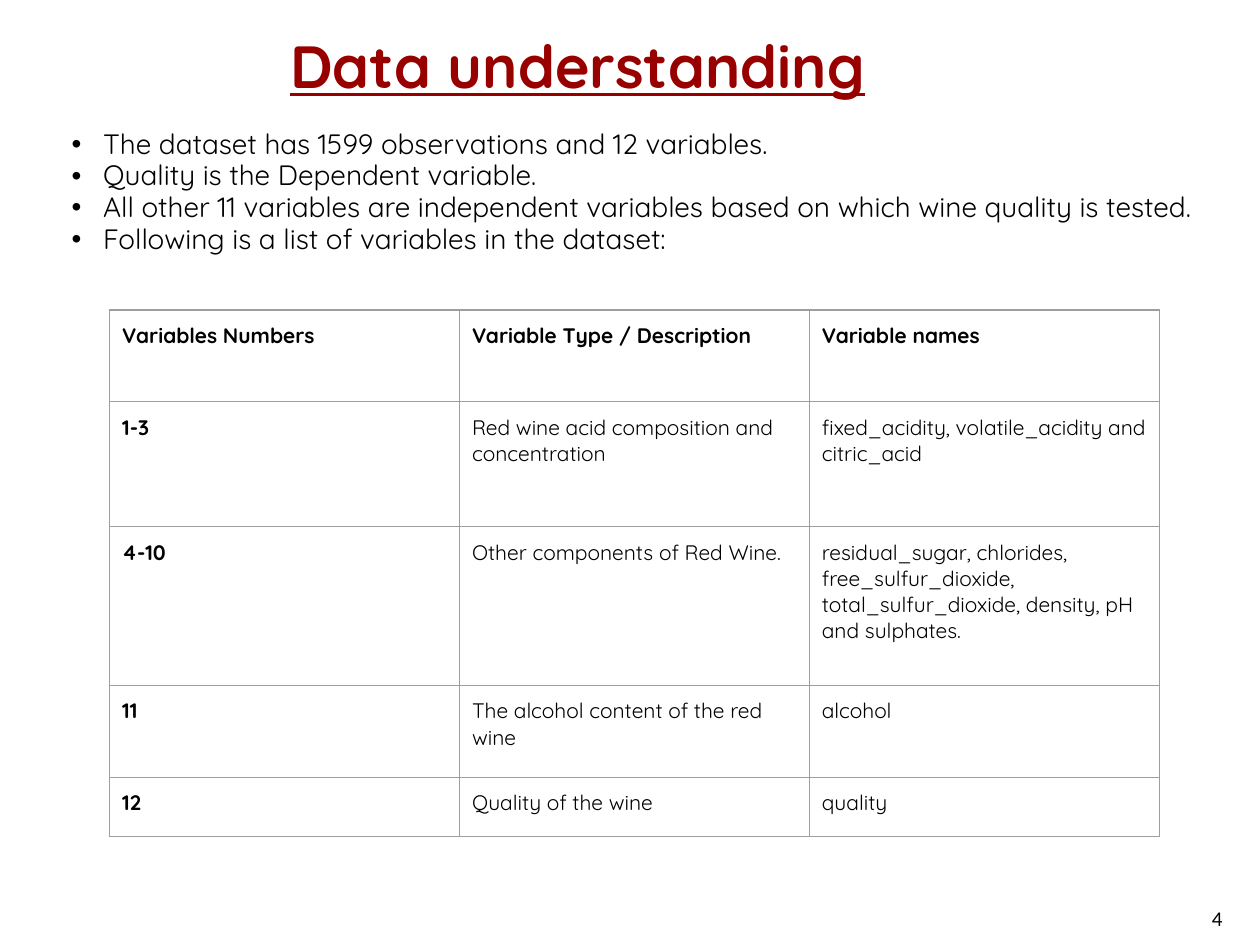
from dataclasses import dataclass

from lxml.etree import SubElement
from pptx import Presentation
from pptx.dml.color import RGBColor
from pptx.enum.text import PP_ALIGN
from pptx.oxml.ns import qn
from pptx.slide import Slide
from pptx.table import _Cell
from pptx.text.text import TextFrame, _Paragraph
from pptx.util import Inches, Pt

BLACK = RGBColor(0x00, 0x00, 0x00)
DARK_RED = RGBColor(0x98, 0x00, 0x00)
GRID_GRAY = RGBColor(0x9E, 0x9E, 0x9E)
FONT = "Quicksand"
NUMBER_FONT = "Calibri"
CELL_INSET = Inches(0.1)


@dataclass(frozen=True)
class Box:
    left: float
    top: float
    width: float
    height: float


@dataclass(frozen=True)
class VariableRow:
    numbers: str
    description: str
    names: str
    height: float


TITLE_BOX = Box(0.25, 0.18, 8.67, 0.94)
FACTS_BOX = Box(0.22, 0.86, 9.51, 5.61)
TABLE_BOX = Box(0.87, 2.46, 8.33, 4.18)
PAGE_NUMBER_BOX = Box(9.52, 7.14, 0.4, 0.24)

FACTS = (
    "The dataset has 1599 observations and 12 variables.",
    "Quality is the Dependent variable.",
    "All other 11 variables are independent variables based on which wine quality is tested.",
    "Following is a list of variables in the dataset:",
)

VARIABLE_ROWS = (
    VariableRow("Variables Numbers", "Variable Type / Description", "Variable names", 0.73),
    VariableRow(
        "1-3",
        "Red wine acid composition and concentration",
        "fixed_acidity, volatile_acidity and citric_acid",
        0.99,
    ),
    VariableRow(
        "4-10",
        "Other components of Red Wine.",
        "residual_sugar, chlorides, free_sulfur_dioxide, "
        "total_sulfur_dioxide, density, pH and sulphates.",
        1.26,
    ),
    VariableRow("11", "The alcohol content of the red wine", "alcohol", 0.73),
    VariableRow("12", "Quality of the wine", "quality", 0.47),
)


def write_text(
    paragraph: _Paragraph,
    text: str,
    *,
    size: float,
    font: str = FONT,
    color: RGBColor = BLACK,
    bold: bool = False,
    underline: bool = False,
    align: PP_ALIGN = PP_ALIGN.LEFT,
) -> None:
    paragraph.alignment = align
    run = paragraph.add_run()
    run.text = text
    run.font.size = Pt(size)
    run.font.name = font
    run.font.color.rgb = color
    run.font.bold = bold
    run.font.underline = underline


def add_text_frame(slide: Slide, box: Box, top_inset: float = 0.05) -> TextFrame:
    frame = slide.shapes.add_textbox(
        Inches(box.left), Inches(box.top), Inches(box.width), Inches(box.height)
    ).text_frame
    frame.word_wrap = True
    frame.margin_top = Inches(top_inset)
    return frame


def add_bullet(paragraph: _Paragraph) -> None:
    properties = paragraph._p.get_or_add_pPr()
    properties.set("marL", str(Inches(0.5)))
    properties.set("indent", str(Inches(-0.25)))
    bullet_color = SubElement(properties, qn("a:buClr"))
    SubElement(bullet_color, qn("a:srgbClr"), val=str(BLACK))
    SubElement(properties, qn("a:buFont"), typeface="Arial")
    SubElement(properties, qn("a:buChar"), char="•")


def add_facts(slide: Slide) -> None:
    frame = add_text_frame(slide, FACTS_BOX, top_inset=0.16)
    for index, fact in enumerate(FACTS):
        paragraph = frame.add_paragraph() if index else frame.paragraphs[0]
        paragraph.line_spacing = 0.95
        add_bullet(paragraph)
        write_text(paragraph, fact, size=16)


def format_cell(cell: _Cell) -> None:
    cell.margin_left = cell.margin_right = CELL_INSET
    cell.margin_top = cell.margin_bottom = CELL_INSET
    properties = cell._tc.get_or_add_tcPr()
    for side in ("L", "R", "T", "B"):
        border = SubElement(properties, qn(f"a:ln{side}"), w=str(Pt(0.75)))
        border_fill = SubElement(border, qn("a:solidFill"))
        SubElement(border_fill, qn("a:srgbClr"), val=str(GRID_GRAY))
    cell.fill.background()


def add_variable_table(slide: Slide) -> None:
    table = slide.shapes.add_table(
        len(VARIABLE_ROWS),
        3,
        Inches(TABLE_BOX.left),
        Inches(TABLE_BOX.top),
        Inches(TABLE_BOX.width),
        Inches(TABLE_BOX.height),
    ).table
    table.first_row = False
    table.horz_banding = False
    for column in table.columns:
        column.width = Inches(TABLE_BOX.width / 3)
    for row_index, row in enumerate(VARIABLE_ROWS):
        table.rows[row_index].height = Inches(row.height)
        for column_index, text in enumerate((row.numbers, row.description, row.names)):
            cell = table.cell(row_index, column_index)
            format_cell(cell)
            is_heading = row_index == 0 or column_index == 0
            write_text(cell.text_frame.paragraphs[0], text, size=12, bold=is_heading)


def main() -> None:
    presentation = Presentation()
    presentation.slide_width = Inches(10)
    presentation.slide_height = Inches(7.5)
    slide = presentation.slides.add_slide(presentation.slide_layouts[6])

    page_number = add_text_frame(slide, PAGE_NUMBER_BOX)
    write_text(page_number.paragraphs[0], "4", size=12, font=NUMBER_FONT)
    title = add_text_frame(slide, TITLE_BOX)
    write_text(
        title.paragraphs[0],
        "Data understanding",
        size=34,
        color=DARK_RED,
        bold=True,
        underline=True,
        align=PP_ALIGN.CENTER,
    )
    add_facts(slide)
    add_variable_table(slide)
    presentation.save("out.pptx")


if __name__ == "__main__":
    main()
